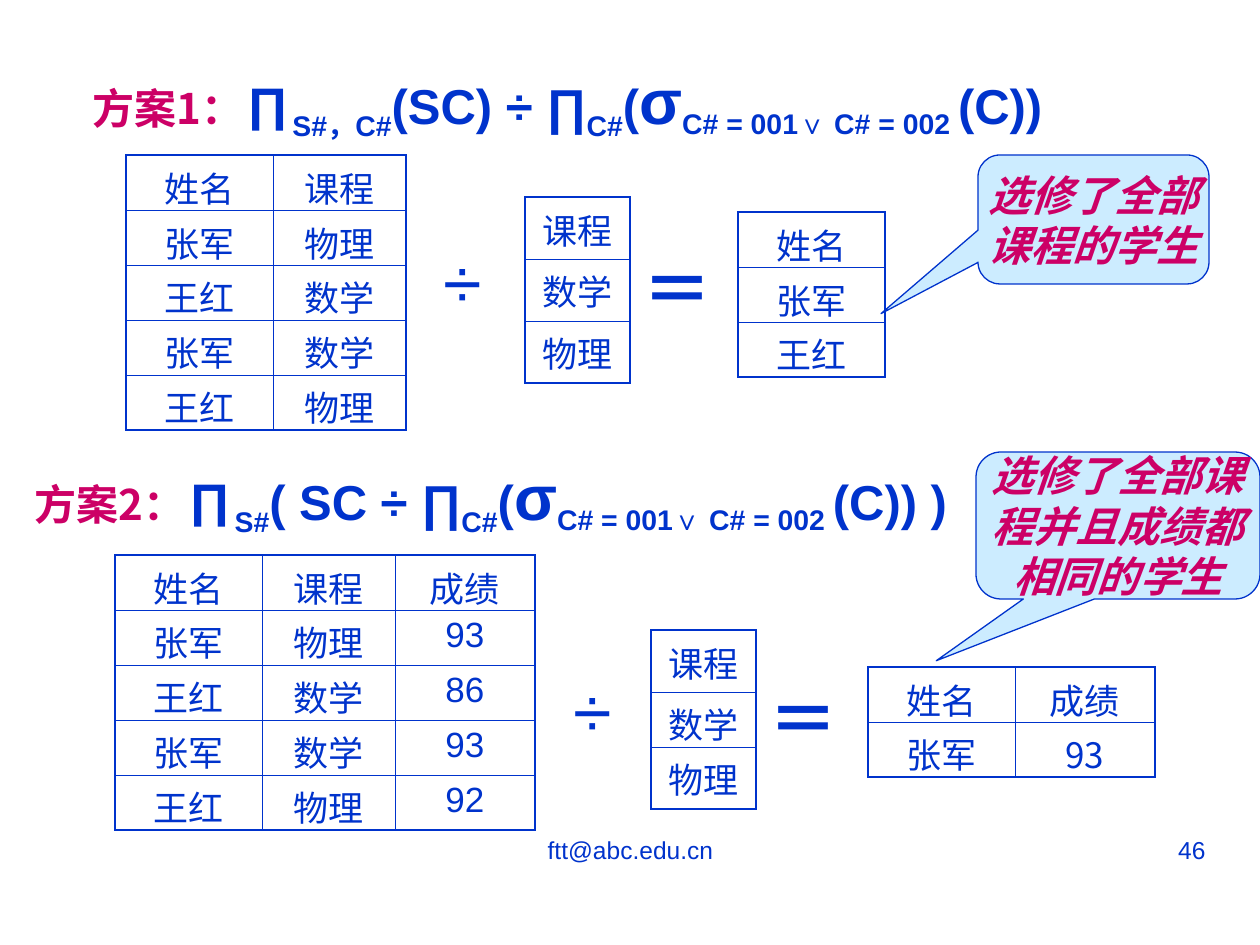
from lxml import etree
from pptx import Presentation
from pptx.dml.color import RGBColor
from pptx.enum.shapes import MSO_SHAPE
from pptx.enum.text import MSO_ANCHOR, MSO_AUTO_SIZE, PP_ALIGN
from pptx.oxml.ns import qn
from pptx.util import Pt

CALLOUT = MSO_SHAPE.ROUNDED_RECTANGULAR_CALLOUT
MIDDLE = MSO_ANCHOR.MIDDLE
FIT = MSO_AUTO_SIZE.SHAPE_TO_FIT_TEXT
CENTER, RIGHT = PP_ALIGN.CENTER, PP_ALIGN.RIGHT
PX = 914400 / 126
COLORS = {"blue": "0033CC", "magenta": "CC0066", "sky": "CCECFF"}
SANS, CJK, SERIF = "Arial", "Noto Sans CJK JP", "Times New Roman"


def px(*lengths):
    return [round(n * PX) for n in lengths]


def set_font(font, name, size, color="blue", bold=False, italic=False):
    font.name = name
    font.size = Pt(size)
    font.bold = bold
    font.italic = italic
    font.color.rgb = RGBColor.from_string(COLORS[color])


prs = Presentation()
prs.slide_width, prs.slide_height = px(1260, 945)
s = prs.slides.add_slide(prs.slide_layouts[6])

labels = [
    ("ftt@abc.edu.cn", (431, 829, 399, 66), CENTER, SANS, 14, 0),
    ("46", (903, 829, 315, 66), RIGHT, SANS, 14, 0),
    ("÷", (431, 232, 53, 97), CENTER, SANS, 40, 25),
    ("÷", (561, 661, 53, 97), CENTER, SANS, 40, 25),
    ("＝", (630, 239, 84, 97), CENTER, SERIF, 40, 25),
    ("＝", (756, 669, 84, 97), CENTER, SERIF, 40, 25),
]
for text, box, align, name, size, before in labels:
    tf = s.shapes.add_textbox(*px(*box)).text_frame
    tf.word_wrap = True
    if before:
        tf.auto_size = FIT
    p = tf.paragraphs[0]
    p.text = text
    p.alignment = align
    p.space_before = Pt(before)
    set_font(p.font, name, size, bold=name == SERIF)

courses = ["课程", "数学", "物理"]
tables = [
    (525, 197, [105], [62, 62, 62], SANS, courses),
    (115, 555, [147, 133, 140], [55] * 5, SANS,
     ["姓名 课程 成绩", "张军 物理 93", "王红 数学 86", "张军 数学 93", "王红 物理 92"]),
    (651, 630, [105], [62, 55, 62], SANS, courses),
    (126, 155, [147, 133], [55] * 5, SANS,
     ["姓名 课程", "张军 物理", "王红 数学", "张军 数学", "王红 物理"]),
    (738, 212, [147], [55] * 3, SANS, ["姓名", "张军", "王红"]),
    (868, 667, [147, 140], [55] * 2, CJK, ["姓名 成绩", "张军 93"]),
]
for left, top, widths, heights, name, rows in tables:
    frame = s.shapes.add_table(len(heights), len(widths),
                               *px(left, top, sum(widths), sum(heights)))
    table = frame.table
    table.first_row = table.horz_banding = False
    for column, width in zip(table.columns, px(*widths)):
        column.width = width
    for row, height in zip(table.rows, px(*heights)):
        row.height = height
    for i, line in enumerate(rows):
        for j, text in enumerate(line.split()):
            cell = table.cell(i, j)
            p = cell.text_frame.paragraphs[0]
            p.text = text
            p.alignment = CENTER
            p.space_before = Pt(5)
            set_font(p.font, name, 20)
            outer = {"lnL": j == 0, "lnR": j == len(widths) - 1,
                     "lnT": i == 0, "lnB": i == len(heights) - 1}
            tcPr = cell._tc.get_or_add_tcPr()
            for side, is_outer in outer.items():
                weight = Pt(1.08 if is_outer else 0.45)
                ln = etree.SubElement(tcPr, qn(f"a:{side}"), w=str(weight))
                fill = etree.SubElement(ln, qn("a:solidFill"))
                etree.SubElement(fill, qn("a:srgbClr"), val=COLORS["blue"])
            cell.fill.background()

callouts = [
    ("选修了全部课程并且成绩都相同的学生", (976, 452, 284, 147), (-0.64, 0.92, 0.17)),
    ("选修了全部课程的学生", (978, 155, 231, 129), (-0.92, 0.73, 0.17)),
]
for text, box, adjustments in callouts:
    sp = s.shapes.add_shape(CALLOUT, *px(*box))
    for i, value in enumerate(adjustments):
        sp.adjustments[i] = value
    sp.shadow.inherit = False
    sp.fill.solid()
    sp.fill.fore_color.rgb = RGBColor.from_string(COLORS["sky"])
    sp.line.color.rgb = RGBColor.from_string(COLORS["blue"])
    sp.line.width = Pt(0.75)
    tf = sp.text_frame
    tf.word_wrap = True
    tf.vertical_anchor = MIDDLE
    tf.margin_left = tf.margin_right = tf.margin_top = tf.margin_bottom = 0
    p = tf.paragraphs[0]
    p.text = text
    p.alignment = CENTER
    p.space_before = Pt(18)
    set_font(p.font, CJK, 24, "magenta", True, True)

formulas = [
    ((1, 55, 1133, 93), "方案1：", "S#，C#", "(SC) ÷ ∏", "(C))"),
    ((-30, 451, 1042, 93), "方案2：", "S#", "( SC ÷ ∏", "(C)) )"),
]
for box, title, attributes, division, ending in formulas:
    tf = s.shapes.add_textbox(*px(*box)).text_frame
    tf.word_wrap = True
    tf.auto_size = FIT
    p = tf.paragraphs[0]
    p.alignment = CENTER
    parts = [(title, 24, 0), ("∏", 28, 0), (attributes, 28, -25),
             (division, 28, 0), ("C#", 28, -25), ("(", 28, 0), ("σ", 36, 0),
             ("C# = 001∨ C# = 002 ", 28, -20), (ending, 28, 0)]
    for text, size, baseline in parts:
        r = p.add_run()
        r.text = text
        name, color = (CJK, "magenta") if text == title else (SANS, "blue")
        set_font(r.font, name, size, color, True)
        if baseline:
            r._r.get_or_add_rPr().set("baseline", str(baseline * 1000))

prs.save("out.pptx")
